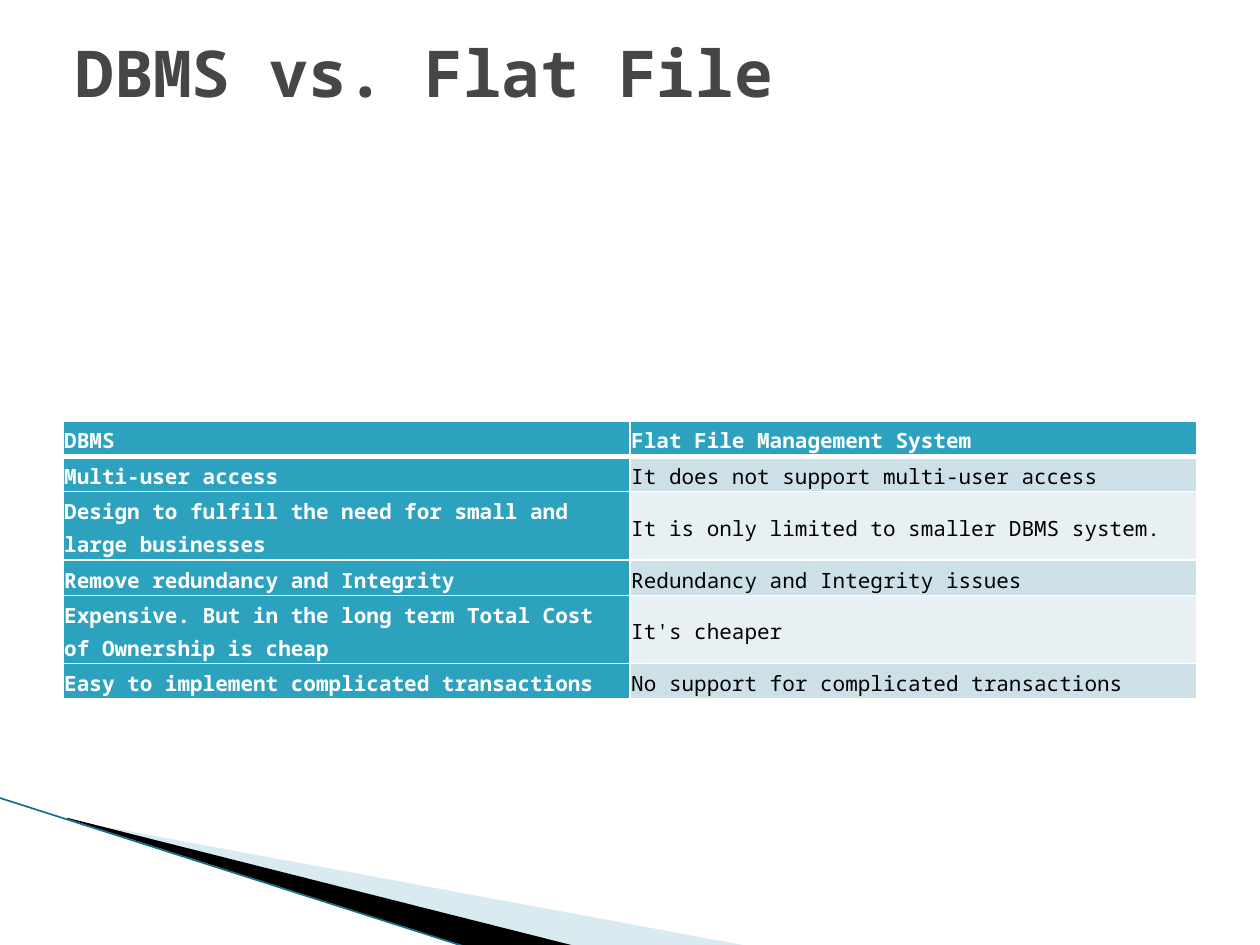
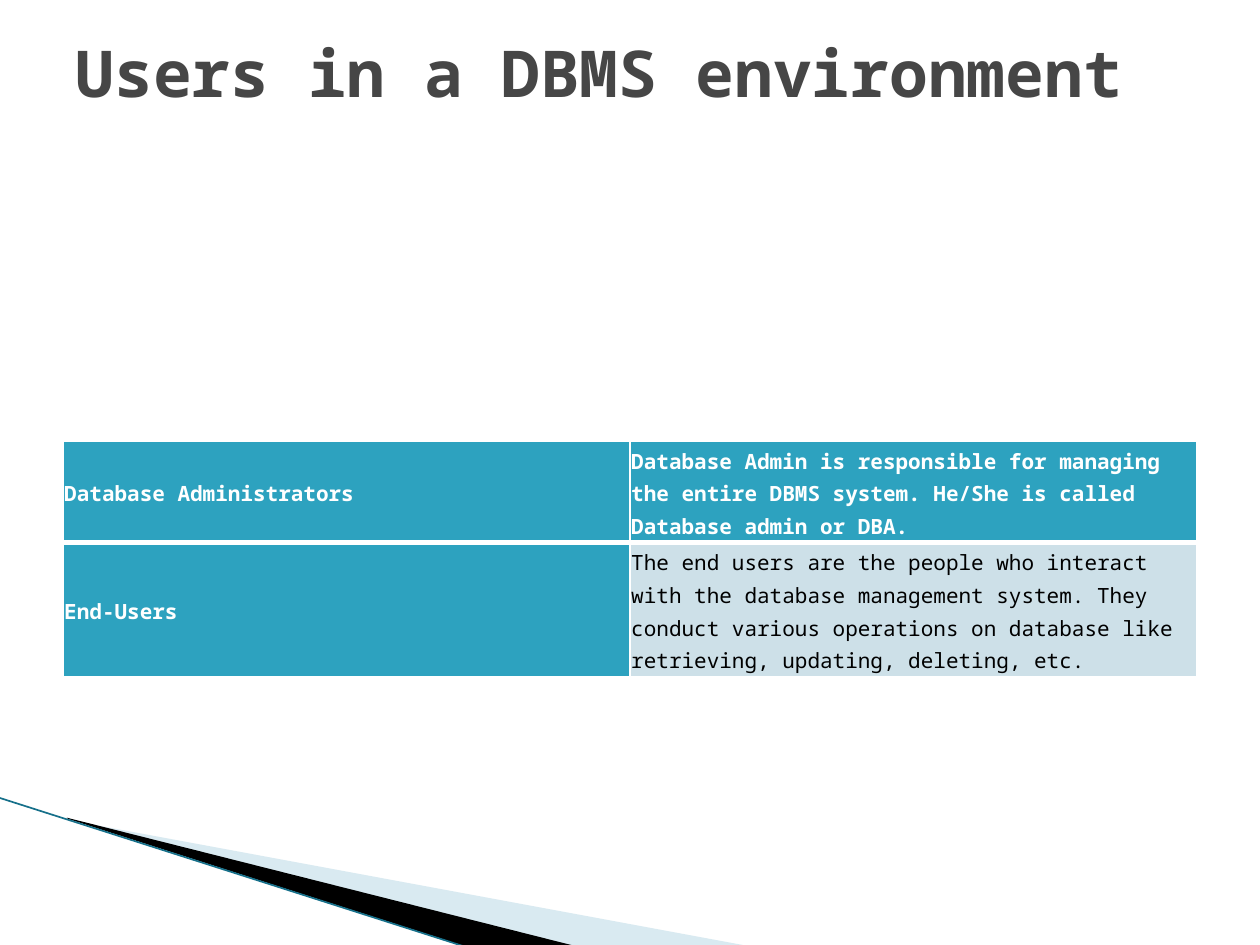
from dataclasses import dataclass

from lxml.etree import SubElement
from pptx import Presentation
from pptx.dml.color import RGBColor
from pptx.enum.text import MSO_ANCHOR, MSO_AUTO_SIZE, PP_ALIGN
from pptx.enum.shapes import MSO_CONNECTOR
from pptx.oxml.ns import qn
from pptx.slide import Slide
from pptx.table import _Cell
from pptx.util import Pt

FONT = "Noto Sans Mono"
WHITE = RGBColor(0xFF, 0xFF, 0xFF)
BLACK = RGBColor(0x00, 0x00, 0x00)
TITLE_GREY = RGBColor(0x46, 0x46, 0x46)
TEAL = RGBColor(0x2D, 0xA2, 0xBF)
EDGE_TEAL = RGBColor(0x16, 0x70, 0x8A)
PALE_BLUE = RGBColor(0xA0, 0xCB, 0xDC)
BANDS = (RGBColor(0xE8, 0xF0, 0xF4), RGBColor(0xCD, 0xE0, 0xE8))

MARGIN, CONTENT_WIDTH = Pt(36), Pt(648)
LINE_HEIGHT, CELL_INSET = 18.8, 0.72
THIN, THICK = 1, 3


@dataclass(frozen=True)
class Wedge:
    points: tuple[tuple[float, float], ...]
    color: RGBColor
    opacity: int = 100


@dataclass(frozen=True)
class Row:
    left: str
    right: str
    lines: int = 1


@dataclass(frozen=True)
class TableSlide:
    title: str
    table_top: float
    rows: tuple[Row, ...]


WEDGES = (
    Wedge(((39.6, 468.7), (428.4, 540.7), (328.3, 540.7), (39.6, 468)), PALE_BLUE, 40),
    Wedge(((38.2, 467.3), (329, 540.7), (267.8, 541.4), (38.9, 468)), BLACK),
)

SLIDES = (
    TableSlide("DBMS vs. Flat File", 240.5, (
        Row("DBMS", "Flat File Management System"),
        Row("Multi-user access", "It does not support multi-user access"),
        Row("Design to fulfill the need for small and large businesses",
            "It is only limited to smaller DBMS system.", 2),
        Row("Remove redundancy and Integrity", "Redundancy and Integrity issues"),
        Row("Expensive. But in the long term Total Cost of Ownership is cheap",
            "It's cheaper", 2),
        Row("Easy to implement complicated transactions",
            "No support for complicated transactions"),
    )),
    TableSlide("Users in a DBMS environment", 252, (
        Row("Database Administrators",
            "Database Admin is responsible for managing the entire DBMS system. "
            "He/She is called Database admin or DBA.", 3),
        Row("End-Users",
            "The end users are the people who interact with the database management "
            "system. They conduct various operations on database like retrieving, "
            "updating, deleting, etc.", 4),
    )),
)


def draw_wedge(s: Slide, wedge: Wedge) -> None:
    start, *rest = [(Pt(x), Pt(y)) for x, y in wedge.points]
    builder = s.shapes.build_freeform(*start)
    builder.add_line_segments(rest, close=True)
    sp = builder.convert_to_shape()
    sp.shadow.inherit = False
    sp.fill.solid()
    sp.fill.fore_color.rgb = wedge.color
    sp.line.fill.background()
    if wedge.opacity < 100:
        color = sp.fill._xPr.find(qn("a:solidFill"))[0]
        SubElement(color, qn("a:alpha"), val=str(wedge.opacity * 1000))


def draw_corner(s: Slide) -> None:
    """Draw the wedges and the edge line at the lower left."""
    for wedge in WEDGES:
        draw_wedge(s, wedge)
    edge = s.shapes.add_connector(
        MSO_CONNECTOR.STRAIGHT, Pt(-0.7), Pt(455.8), Pt(267.1), Pt(541.4))
    edge.line.color.rgb = EDGE_TEAL
    edge.line.width = Pt(0.95)
    SubElement(edge._element.spPr, qn("a:effectLst"))


def set_title(s: Slide, text: str) -> None:
    sp = s.shapes.title
    sp.left, sp.top, sp.width, sp.height = MARGIN, Pt(21.6), CONTENT_WIDTH, Pt(90)
    tf = sp.text_frame
    tf.text = text
    tf.auto_size = MSO_AUTO_SIZE.NONE
    tf.vertical_anchor = MSO_ANCHOR.TOP
    tf.margin_top = 0
    p = tf.paragraphs[0]
    p.alignment = PP_ALIGN.LEFT
    p.line_spacing = 0.97
    p.font.name, p.font.size, p.font.bold = FONT, Pt(36.9), True
    p.font.color.rgb = TITLE_GREY


def set_borders(cell: _Cell, top: int, bottom: int) -> None:
    tc_pr = cell._tc.get_or_add_tcPr()
    for side, width in (("L", THIN), ("R", THIN), ("T", top), ("B", bottom)):
        ln = SubElement(tc_pr, qn(f"a:ln{side}"), w=str(Pt(width)))
        fill = SubElement(ln, qn("a:solidFill"))
        SubElement(fill, qn("a:srgbClr"), val=str(WHITE))


def fill_cell(cell: _Cell, text: str, row: int, col: int) -> None:
    is_heading = row == 0 or col == 0
    set_borders(cell, THICK if row == 1 else THIN, THICK if row == 0 else THIN)
    cell.fill.solid()
    cell.fill.fore_color.rgb = TEAL if is_heading else BANDS[row % 2]
    cell.vertical_anchor = MSO_ANCHOR.MIDDLE
    cell.margin_left = cell.margin_right = Pt(CELL_INSET)
    cell.margin_top = cell.margin_bottom = Pt(CELL_INSET)
    cell.text = text
    p = cell.text_frame.paragraphs[0]
    p.line_spacing = 1.15
    p.font.name, p.font.size, p.font.bold = FONT, Pt(12), is_heading
    p.font.color.rgb = WHITE if is_heading else BLACK


def draw_table(s: Slide, rows: tuple[Row, ...], top: float) -> None:
    heights = [Pt(row.lines * LINE_HEIGHT + 2 * CELL_INSET) for row in rows]
    table = s.shapes.add_table(
        len(rows), 2, MARGIN, Pt(top), CONTENT_WIDTH, sum(heights)).table
    for i, (row, height) in enumerate(zip(rows, heights)):
        table.rows[i].height = height
        for j, text in enumerate((row.left, row.right)):
            fill_cell(table.cell(i, j), text, i, j)


def main() -> None:
    prs = Presentation()
    prs.slide_width, prs.slide_height = Pt(720), Pt(540)
    title_only = prs.slide_layouts[5]
    for content in SLIDES:
        s = prs.slides.add_slide(title_only)
        draw_corner(s)
        draw_table(s, content.rows, content.table_top)
        set_title(s, content.title)
    prs.save("out.pptx")


if __name__ == "__main__":
    main()
